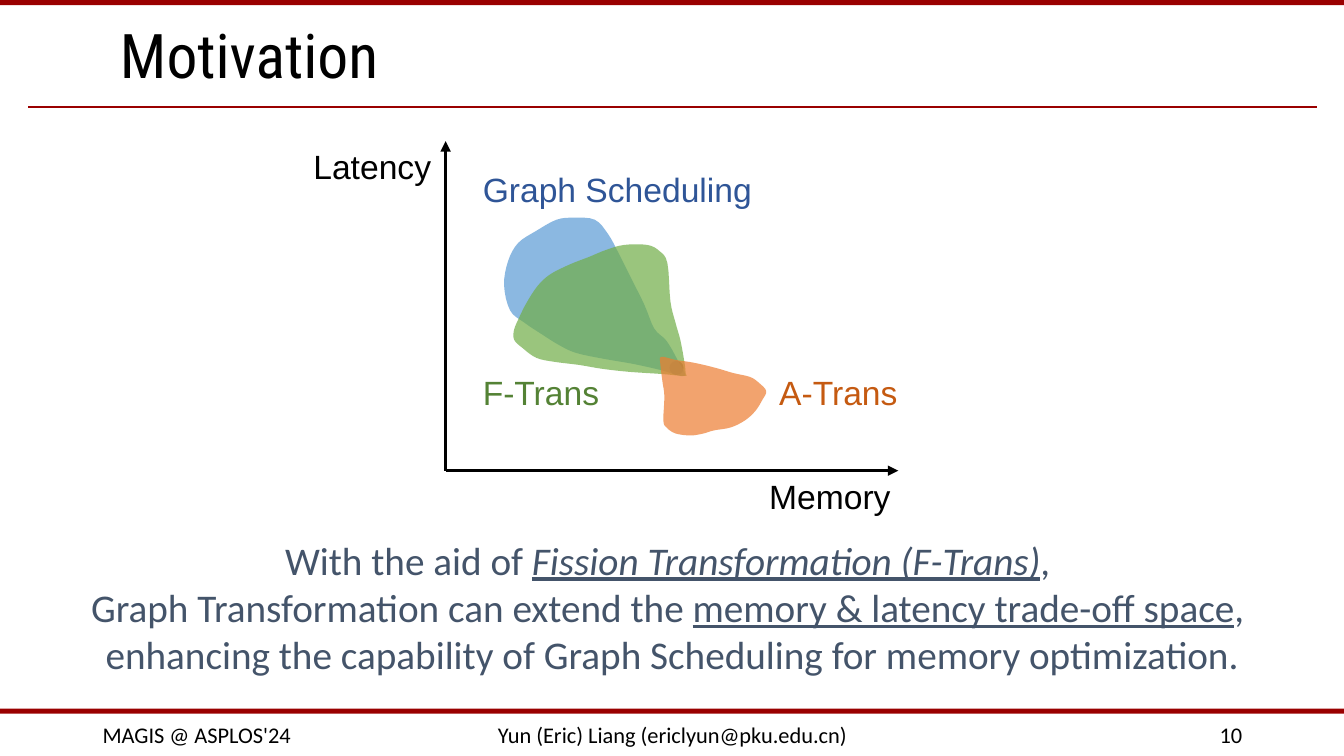
import pptx
import pptx.util
import pptx.dml.color
import pptx.enum.shapes
import pptx.enum.text
import pptx.oxml
import pptx.oxml.ns

Inches = pptx.util.Inches
Pt = pptx.util.Pt
ALIGN = pptx.enum.text.PP_ALIGN
ANCHOR = pptx.enum.text.MSO_ANCHOR
FIT = pptx.enum.text.MSO_AUTO_SIZE
SHAPE = pptx.enum.shapes.MSO_SHAPE

COLORS = {
    "black": "000000", "bar": "9A0000", "slate": "44546A",
    "blue": "5B9BD5", "green": "70AD47", "orange": "ED7D31",
    "dark_blue": "2F5597", "dark_green": "548235", "dark_orange": "C55A11",
}

SCHEDULING = [
    (6.79, 3.73), (6.55, 3.67), (6.28, 3.61), (5.99, 3.56), (5.71, 3.5), (5.54, 3.42),
    (5.38, 3.32), (5.2, 3.2), (5.06, 3.08), (5, 2.83), (5.04, 2.59), (5.14, 2.41),
    (5.32, 2.29), (5.52, 2.18), (5.69, 2.16), (5.9, 2.18), (6.03, 2.32), (6.13, 2.5),
    (6.26, 2.76), (6.39, 3.02), (6.49, 3.26), (6.61, 3.38), (6.72, 3.57),
]
F_TRANS = [
    (6.79, 3.73), (6.56, 3.71), (6.25, 3.69), (5.98, 3.66), (5.74, 3.62), (5.5, 3.59),
    (5.32, 3.55), (5.18, 3.45), (5.1, 3.37), (5.1, 3.27), (5.15, 3.15), (5.22, 3.01),
    (5.33, 2.84), (5.46, 2.72), (5.66, 2.62), (5.84, 2.55), (6.01, 2.48), (6.19, 2.43),
    (6.42, 2.43), (6.54, 2.49), (6.62, 2.61), (6.65, 2.99), (6.7, 3.2), (6.75, 3.38),
    (6.79, 3.6), (6.8, 3.7),
]
A_TRANS = [
    (6.56, 3.54), (6.7, 3.57), (6.89, 3.6), (7.1, 3.65), (7.27, 3.7), (7.44, 3.74),
    (7.53, 3.8), (7.6, 3.88), (7.56, 3.97), (7.49, 4.08), (7.39, 4.17), (7.25, 4.24),
    (7.08, 4.27), (6.98, 4.3), (6.85, 4.32), (6.7, 4.3), (6.61, 4.24), (6.58, 4.17),
    (6.59, 3.93), (6.57, 3.78), (6.55, 3.61),
]


def rgb(name):
    return pptx.dml.color.RGBColor.from_string(COLORS[name])


def smooth_outline(knots, steps=4):
    """Sample a closed Catmull-Rom curve through the knots."""
    points = []
    n = len(knots)
    for i in range(n):
        quad = [knots[(i + k) % n] for k in (-1, 0, 1, 2)]
        for step in range(steps):
            t = step / steps
            points.append(tuple(
                Inches((2 * b + (c - a) * t + (2 * a - 5 * b + 4 * c - d) * t ** 2
                        + (3 * b - a - 3 * c + d) * t ** 3) / 2)
                for a, b, c, d in zip(*quad)))
    return points


def write(p, text, size=24, font="Arial", color="black", italic=False, underline=False):
    r = p.add_run()
    r.text = text
    r.font.size = Pt(size)
    r.font.name = font
    r.font.color.rgb = rgb(color)
    r.font.italic = italic
    r.font.underline = underline


class SlideBuilder:
    def __init__(self, prs):
        self.s = prs.slides.add_slide(prs.slide_layouts[5])
        self.shapes = self.s.shapes

    def title(self, text, left, top, width, height):
        sp = self.shapes.title
        sp.left, sp.top, sp.width, sp.height = map(Inches, (left, top, width, height))
        tf = sp.text_frame
        tf.auto_size = FIT.NONE
        tf.vertical_anchor = ANCHOR.MIDDLE
        p = tf.paragraphs[0]
        p.alignment = ALIGN.LEFT
        p.line_spacing = 0.9
        write(p, text, size=44, font="Roboto Condensed")

    def text(self, paragraphs, left, top, width, height, align=ALIGN.LEFT,
             anchor=ANCHOR.TOP, wrap=True, fit=FIT.SHAPE_TO_FIT_TEXT, **style):
        """Each paragraph is a list of (text, format overrides) runs."""
        sp = self.shapes.add_textbox(*map(Inches, (left, top, width, height)))
        tf = sp.text_frame
        tf.word_wrap = wrap
        tf.auto_size = fit
        tf.vertical_anchor = anchor
        for i, runs in enumerate(paragraphs):
            p = tf.add_paragraph() if i else tf.paragraphs[0]
            p.alignment = align
            for text, extra in runs:
                write(p, text, **{**style, **extra})

    def label(self, text, left, top, width, color="black"):
        self.text([[(text, {})]], left, top, width, 0.5, wrap=False, color=color)

    def footer(self, text, left, width, align):
        self.text([[(text, {})]], left, 7.09, width, 0.4, align=align,
                  anchor=ANCHOR.MIDDLE, fit=FIT.NONE, size=16, font="Calibri")

    def paint(self, sp, color, opacity=None):
        sp.shadow.inherit = False
        sp.fill.solid()
        sp.fill.fore_color.rgb = rgb(color)
        sp.line.fill.background()
        if opacity is not None:
            clr = sp.fill._xPr.find(".//" + pptx.oxml.ns.qn("a:srgbClr"))
            alpha = pptx.oxml.parse_xml(
                f'<a:alpha {pptx.oxml.ns.nsdecls("a")} val="{opacity * 1000}"/>')
            clr.append(alpha)

    def shape(self, kind, left, top, width, height, color):
        sp = self.shapes.add_shape(kind, *map(Inches, (left, top, width, height)))
        self.paint(sp, color)

    def region(self, knots, color):
        points = smooth_outline(knots)
        builder = self.shapes.build_freeform(*points[0], scale=1.0)
        builder.add_line_segments(points[1:], close=True)
        self.paint(builder.convert_to_shape(), color, opacity=70)

    def line(self, start, end, color, width, arrow=False):
        cx = self.shapes.add_connector(pptx.enum.shapes.MSO_CONNECTOR.STRAIGHT,
                                       *map(Inches, start + end))
        cx.line.color.rgb = rgb(color)
        cx.line.width = Pt(width)
        ns = pptx.oxml.ns.nsdecls("a")
        if arrow:
            cx.line._get_or_add_ln().append(
                pptx.oxml.parse_xml(f'<a:tailEnd {ns} type="triangle"/>'))
        cx._element.spPr.append(pptx.oxml.parse_xml(f"<a:effectLst {ns}/>"))


def main():
    prs = pptx.Presentation()
    prs.slide_width, prs.slide_height = Inches(13.33), Inches(7.5)
    b = SlideBuilder(prs)

    for top in (0, 7.03):
        b.shape(SHAPE.RECTANGLE, 0, top, 13.33, 0.05, "bar")
    b.line((0.28, 1.06), (13.06, 1.06), "bar", 1.5)
    b.title("Motivation", 1.09, 0.17, 11.5, 0.83)
    b.footer("MAGIS @ ASPLOS'24", 0.92, 3, ALIGN.LEFT)
    b.footer("Yun (Eric) Liang (ericlyun@pku.edu.cn)", 4.42, 4.5, ALIGN.CENTER)
    b.footer("10", 9.42, 3, ALIGN.RIGHT)

    b.text([
        [("With the aid of ", {}),
         ("Fission Transformation (F-Trans)", {"italic": True, "underline": True}),
         (", ", {})],
        [("Graph Transformation can extend the ", {}),
         ("memory & latency trade-off space", {"underline": True}),
         (", ", {})],
        [("enhancing the capability of Graph Scheduling for memory optimization.", {})],
    ], 0.17, 5.27, 12.99, 1.51, align=ALIGN.CENTER, size=28, font="Calibri", color="slate")

    origin = (4.42, 4.67)
    for axis_end in ((8.91, 4.67), (4.42, 1.4)):
        b.line(origin, axis_end, "black", 2.5, arrow=True)
    b.label("Memory", 7.53, 4.67, 1.42)
    b.label("Latency", 3.01, 1.4, 1.38)

    b.shape(SHAPE.OVAL, 6.64, 3.58, 0.14, 0.14, "slate")
    b.region(SCHEDULING, "blue")
    b.region(F_TRANS, "green")
    b.region(A_TRANS, "orange")
    b.label("A-Trans", 7.63, 3.64, 1.43, "dark_orange")
    b.label("Graph Scheduling", 4.69, 1.63, 2.87, "dark_blue")
    b.label("F-Trans", 4.69, 3.64, 1.4, "dark_green")

    prs.save("out.pptx")


if __name__ == "__main__":
    main()
